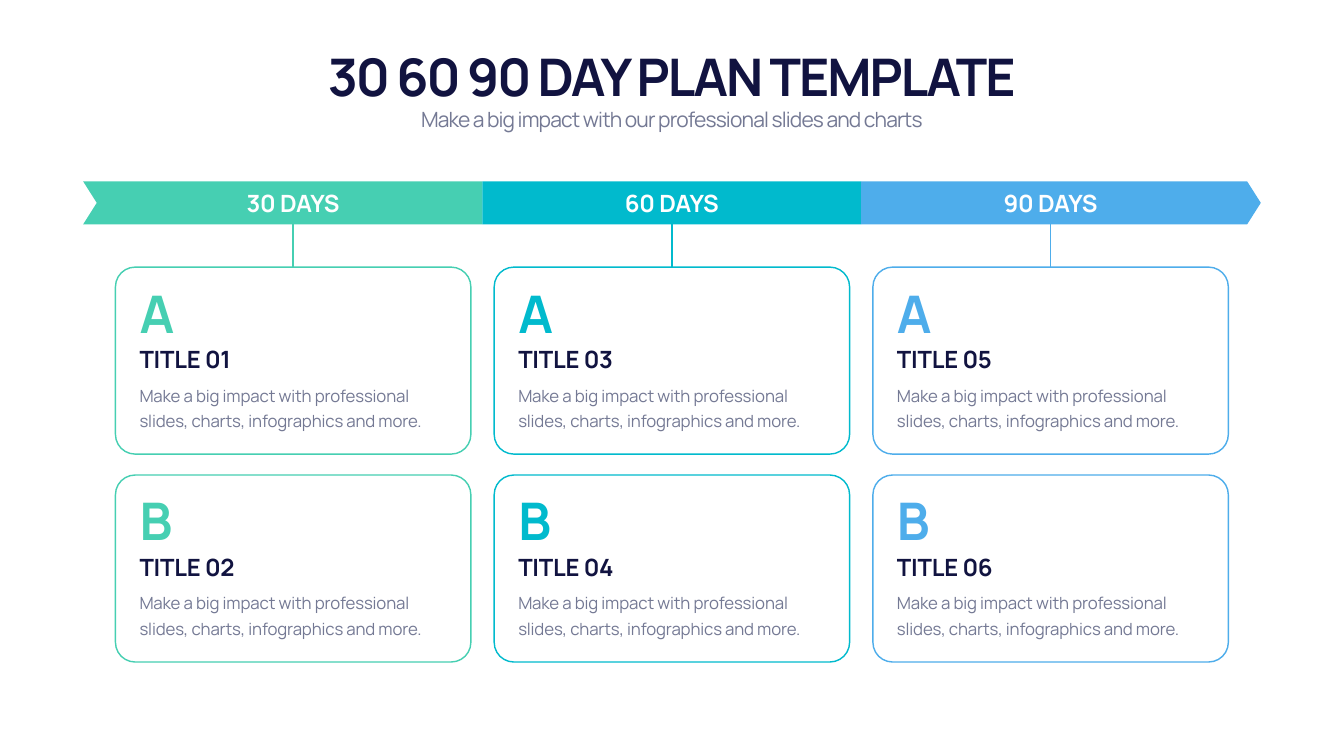
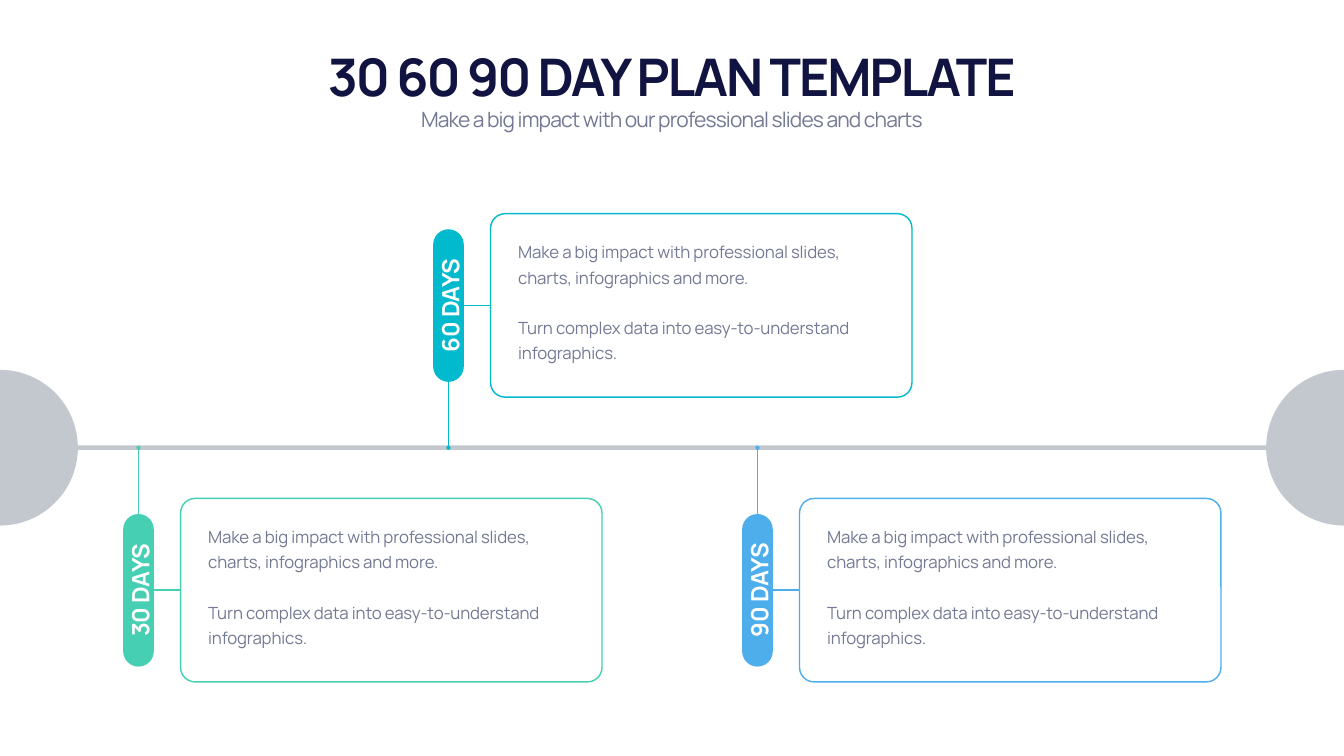
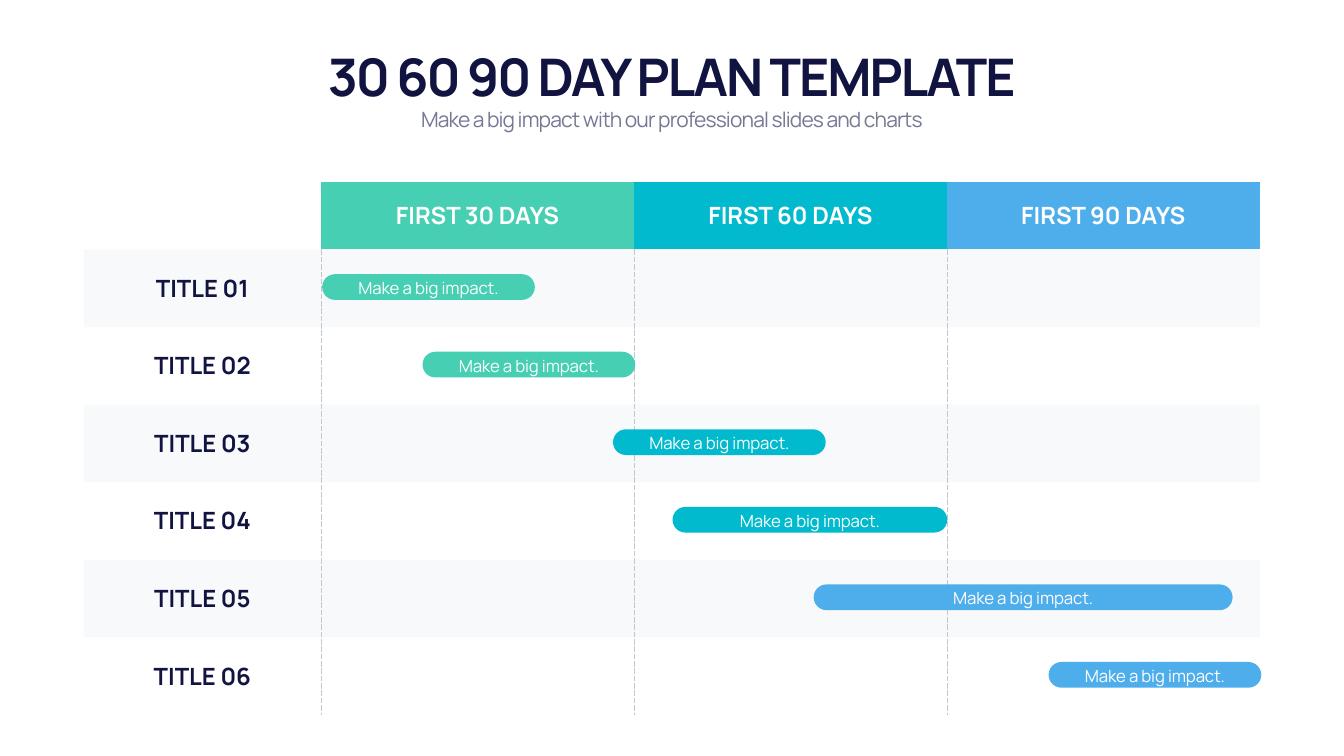
"""Build a three-slide 30 60 90 day plan: cards, timeline and schedule."""
from math import cos, pi, sin

from lxml.etree import SubElement
from pptx import Presentation
from pptx.dml.color import RGBColor
from pptx.enum.shapes import MSO_CONNECTOR, MSO_SHAPE
from pptx.enum.text import MSO_ANCHOR, MSO_AUTO_SIZE, PP_ALIGN
from pptx.oxml.ns import qn
from pptx.util import Pt

TITLE = "30 60 90 DAY PLAN TEMPLATE"
SUBTITLE = "Make a big impact with our professional slides and charts"
CARD_BODY = "Make a big impact with professional slides, charts, infographics and more."
MILESTONE_BODY = [CARD_BODY, "Turn complex data into easy-to-understand infographics."]
BAR_CAPTION = "Make a big impact."

GREEN, TEAL, BLUE = "46CFB2", "01BACD", "4EADEB"
NAVY, SLATE, SILVER, WHITE = "111340", "747994", "C3C8CE", "FFFFFF"
FONT = "Manrope"
DISPLAY = {"size": 74, "bold": True, "spacing": -290}
HEADING = {"size": 34, "bold": True, "spacing": -30}
BODY = {"size": 24, "spacing": -20, "leading": 36}
CENTER, LEFT = PP_ALIGN.CENTER, PP_ALIGN.LEFT
TOP, MIDDLE, BOTTOM = MSO_ANCHOR.TOP, MSO_ANCHOR.MIDDLE, MSO_ANCHOR.BOTTOM

PHASES = [
    ("30 DAYS", GREEN, [("A", "TITLE 01"), ("B", "TITLE 02")]),
    ("60 DAYS", TEAL, [("A", "TITLE 03"), ("B", "TITLE 04")]),
    ("90 DAYS", BLUE, [("A", "TITLE 05"), ("B", "TITLE 06")]),
]
MILESTONES = [
    ("30 DAYS", GREEN, 257.9, 712.1),
    ("60 DAYS", TEAL, 700.6, 305.3),
    ("90 DAYS", BLUE, 1141.9, 712.1),
]
PERIODS = [("FIRST 30 DAYS", GREEN), ("FIRST 60 DAYS", TEAL), ("FIRST 90 DAYS", BLUE)]
TASKS = [
    ("TITLE 01", GREEN, 460.1, 303.8),
    ("TITLE 02", GREEN, 603.4, 303.8),
    ("TITLE 03", TEAL, 875.5, 303.8),
    ("TITLE 04", TEAL, 960.5, 392.4),
    ("TITLE 05", BLUE, 1162.1, 598.3),
    ("TITLE 06", BLUE, 1497.6, 303.8),
]

SLIDE_W, SLIDE_H = 1919.52, 1080
MARGIN, CONTENT_W = 119.5, 1679.8


def color(hex_code):
    return RGBColor.from_string(hex_code)


def place(shape, left, top, width, height):
    shape.left, shape.top = Pt(left), Pt(top)
    shape.width, shape.height = Pt(width), Pt(height)


def write(frame, paragraphs, hex_code, size, bold=False, spacing=0, leading=None,
          align=LEFT, gap=0):
    frame.text = "\n".join(paragraphs)
    for index, paragraph in enumerate(frame.paragraphs):
        paragraph.alignment = align
        if leading:
            paragraph.line_spacing = Pt(leading)
        if gap and index:
            paragraph.space_before = Pt(gap)
        for run in paragraph.runs:
            run.font.name, run.font.size, run.font.bold = FONT, Pt(size), bold
            run.font.color.rgb = color(hex_code)
            if spacing:
                run.font._element.set("spc", str(spacing))


def fit(frame, anchor):
    frame.word_wrap = True
    frame.auto_size = MSO_AUTO_SIZE.SHAPE_TO_FIT_TEXT
    frame.vertical_anchor = anchor


def add_text(shapes, box, paragraphs, hex_code, style, anchor=TOP, **extra):
    textbox = shapes.add_textbox(*map(Pt, box))
    fit(textbox.text_frame, anchor)
    write(textbox.text_frame, paragraphs, hex_code, **style, **extra)
    return textbox


def paint(shape, fill=None, outline=None):
    shape.shadow.inherit = False
    if fill:
        shape.fill.solid()
        shape.fill.fore_color.rgb = color(fill)
    else:
        shape.fill.background()
    if outline:
        shape.line.color.rgb = color(outline)
        shape.line.width = Pt(2)
    else:
        shape.line.fill.background()


def add_rounded(shapes, box, radius, **paints):
    rounded = shapes.add_shape(MSO_SHAPE.ROUNDED_RECTANGLE, *map(Pt, box))
    rounded.adjustments[0] = radius
    paint(rounded, **paints)


def add_polygon(shapes, points, fill):
    start, *rest = [(Pt(x), Pt(y)) for x, y in points]
    builder = shapes.build_freeform(*start, scale=1.0)
    builder.add_line_segments(rest, close=True)
    paint(builder.convert_to_shape(), fill=fill)


def add_line(shapes, start, end, hex_code, dot=False):
    line = shapes.add_connector(MSO_CONNECTOR.STRAIGHT, *map(Pt, start + end))
    line.line.color.rgb = color(hex_code)
    line.line.width = Pt(2)
    properties = line._element.spPr
    if dot:
        SubElement(properties.find(qn("a:ln")), qn("a:tailEnd"), type="oval")
    SubElement(properties, qn("a:effectLst"))


def add_plan_slide(deck):
    slide = deck.slides.add_slide(deck.slide_layouts[5])
    title = slide.shapes.title
    place(title, MARGIN, 59, CONTENT_W, 97.2)
    fit(title.text_frame, BOTTOM)
    write(title.text_frame, [TITLE], NAVY, **DISPLAY, align=CENTER)
    add_text(slide.shapes, (MARGIN, 149, CONTENT_W, 43.9), [SUBTITLE], SLATE,
             {"size": 30, "spacing": -120}, align=CENTER)
    return slide.shapes


def build_cards(shapes):
    band_top, band_h, point = 259.2, 61.2, 19.4
    edges = [118.8, 689, 1229.8, 1800.7]
    card_left, card_top, card_w, card_h = 164.9, 381.6, 507.6, 267.1
    column_step, row_step = 540.9, 297
    text_inset, text_w = 27.3, 454.3
    band_mid, band_bottom = band_top + band_h / 2, band_top + band_h
    for column, (label, hue, cards) in enumerate(PHASES):
        start, end = edges[column:column + 2]
        notch = point if column == 0 else 0
        tip = point if column == len(PHASES) - 1 else 0
        add_polygon(shapes, [(start, band_top), (end - tip, band_top), (end, band_mid),
                             (end - tip, band_bottom), (start, band_bottom),
                             (start + notch, band_mid)], hue)
        left = card_left + column * column_step
        middle = left + card_w / 2
        add_line(shapes, (middle, band_bottom), (middle, card_top), hue)
        add_text(shapes, (middle - 227.9, 265.7, 455.8, 48.2), [label], WHITE, HEADING,
                 MIDDLE, align=CENTER)
        for row, (letter, heading) in enumerate(cards):
            top = card_top + row * row_step
            add_rounded(shapes, (left, top, card_w, card_h), 0.105, outline=hue)
            x = left + text_inset
            add_text(shapes, (x, top + 15.3, text_w, 97.2), [letter], hue, DISPLAY, BOTTOM)
            add_text(shapes, (x, top + 107.5, text_w, 48.2), [heading], NAVY, HEADING, BOTTOM)
            add_text(shapes, (x, top + 158, text_w, 78.5), [CARD_BODY], SLATE, BODY)


def build_timeline(shapes):
    axis_y, radius, steps = 639.6, 111.2, 60
    card_w, card_h, pill_w, pill_h = 601.9, 262.1, 43.8, 218
    for center, side in ((0, 1), (SLIDE_W, -1)):
        angles = [pi * step / steps - pi / 2 for step in range(steps + 1)]
        add_polygon(shapes, [(center + side * radius * cos(a), axis_y + radius * sin(a))
                             for a in angles], SILVER)
    axis = shapes.add_shape(MSO_SHAPE.RECTANGLE, Pt(103.7), Pt(axis_y - 3.2),
                            Pt(1712.9), Pt(6.4))
    paint(axis, fill=SILVER)
    for label, hue, left, top in MILESTONES:
        pill_left, pill_top = left - 82, top + 22.2
        pill_mid, middle = pill_left + pill_w / 2, top + card_h / 2
        pill_edge = pill_top if top > axis_y else pill_top + pill_h
        add_rounded(shapes, (pill_left, pill_top, pill_w, pill_h), 0.5, fill=hue)
        add_rounded(shapes, (left, top, card_w, card_h), 0.079, outline=hue)
        add_line(shapes, (pill_left + pill_w, middle), (left, middle), hue)
        add_line(shapes, (pill_mid, pill_edge), (pill_mid, axis_y), hue, dot=True)
        caption = add_text(shapes, (pill_mid - 81.8, middle - 24.1, 167.8, 48.2), [label],
                           WHITE, HEADING, MIDDLE, align=CENTER)
        caption.rotation = 270
        add_text(shapes, (left + 32.4, top + 29.8, 538.6, 187.2), MILESTONE_BODY, SLATE,
                 BODY, MIDDLE, gap=36)


def set_borders(cell, dashed_sides):
    properties = cell._tc.get_or_add_tcPr()
    for side in "LRTB":
        border = SubElement(properties, qn("a:ln" + side), w=str(Pt(1)))
        if side in dashed_sides:
            fill = SubElement(border, qn("a:solidFill"))
            SubElement(fill, qn("a:srgbClr"), val=SILVER)
            SubElement(border, qn("a:prstDash"), val="lgDash")
        else:
            SubElement(border, qn("a:noFill"))


def fill_cell(cell, hex_code=None, opacity=100):
    if not hex_code:
        cell.fill.background()
        return
    cell.fill.solid()
    cell.fill.fore_color.rgb = color(hex_code)
    if opacity < 100:
        tint = cell._tc.tcPr.find(qn("a:solidFill")).find(qn("a:srgbClr"))
        SubElement(tint, qn("a:alpha"), val=str(opacity * 1000))


def write_cell(cell, text, hex_code):
    cell.vertical_anchor = MIDDLE
    write(cell.text_frame, [text], hex_code, 34, bold=True, align=CENTER)


def build_schedule(shapes):
    top, header_h, row_h = 259.9, 96.5, 110.8
    name_w, period_w = 339.1, 446.9
    last = len(PERIODS)
    table = shapes.add_table(len(TASKS) + 1, last + 1, Pt(MARGIN), Pt(top), Pt(CONTENT_W),
                             Pt(header_h + row_h * len(TASKS))).table
    table.first_row = table.horz_banding = False
    for index, column in enumerate(table.columns):
        column.width = Pt(period_w if index else name_w)
    for index, row in enumerate(table.rows):
        row.height = Pt(row_h if index else header_h)
        for position, cell in enumerate(row.cells):
            sides = ("L" if position else "") + ("R" if position < last else "")
            set_borders(cell, sides if index else "")
            if index % 2:
                fill_cell(cell, SILVER, 10)
            elif index == 0 and position:
                fill_cell(cell, PERIODS[position - 1][1])
            else:
                fill_cell(cell)
    for position, (period, _) in enumerate(PERIODS, 1):
        write_cell(table.cell(0, position), period, WHITE)
    for index, (name, hue, left, width) in enumerate(TASKS):
        write_cell(table.cell(index + 1, 0), name, NAVY)
        bar_top = top + header_h + index * row_h + 35.3
        bar = shapes.add_group_shape().shapes
        add_rounded(bar, (left, bar_top, width, 36.7), 0.5, fill=hue)
        add_text(bar, (left + 19, bar_top - 5, width - 38, 41.8), [BAR_CAPTION], WHITE,
                 BODY, MIDDLE, align=CENTER)


deck = Presentation()
deck.slide_width, deck.slide_height = Pt(SLIDE_W), Pt(SLIDE_H)
for build in (build_cards, build_timeline, build_schedule):
    build(add_plan_slide(deck))
deck.save("out.pptx")
